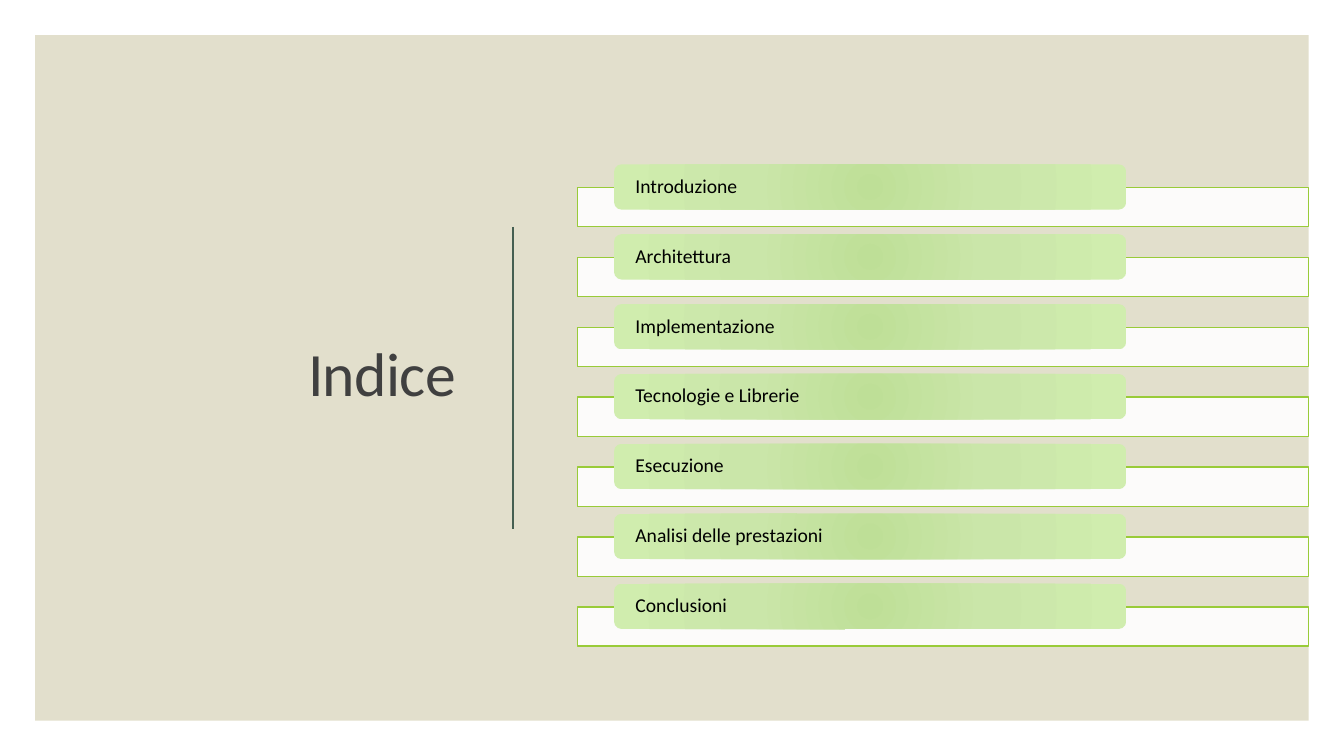
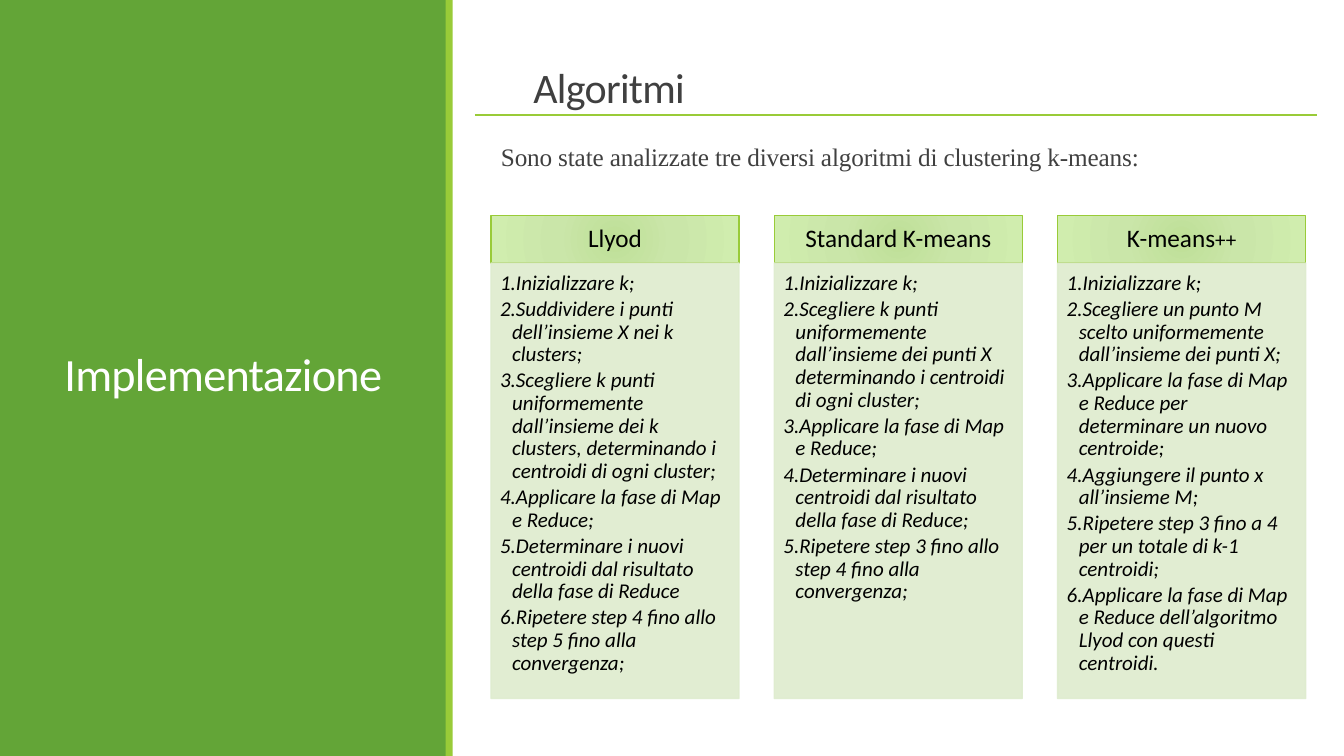
import pptx
import pptx.dml.color
import pptx.enum.shapes
import pptx.enum.text
import pptx.oxml
import pptx.oxml.ns
import pptx.util
from lxml import etree

Inches, Pt = pptx.util.Inches, pptx.util.Pt
RGB = pptx.dml.color.RGBColor
SHAPE = pptx.enum.shapes.MSO_SHAPE
ALIGN = pptx.enum.text.PP_ALIGN
ANCHOR = pptx.enum.text.MSO_ANCHOR
qn = pptx.oxml.ns.qn

# Content
INDEX_TITLE = "Indice"
INDEX = ["Introduzione", "Architettura", "Implementazione", "Tecnologie e Librerie",
         "Esecuzione", "Analisi delle prestazioni", "Conclusioni"]
SECTION = "Implementazione"
TOPIC = "Algoritmi"
INTRO = "Sono state analizzate tre diversi algoritmi di clustering k-means:"
ALGORITHMS = [
    (["Llyod"], [
        "Inizializzare k;",
        "Suddividere i punti dell’insieme X nei k clusters;",
        "Scegliere k punti uniformemente dall’insieme dei k clusters, "
        "determinando i centroidi di ogni cluster;",
        "Applicare la fase di Map e Reduce;",
        "Determinare i nuovi centroidi dal risultato della fase di Reduce",
        "Ripetere step 4 fino allo step 5 fino alla convergenza;"]),
    (["Standard K-means"], [
        "Inizializzare k;",
        "Scegliere k punti uniformemente dall’insieme dei punti X "
        "determinando i centroidi di ogni cluster;",
        "Applicare la fase di Map e Reduce;",
        "Determinare i nuovi centroidi dal risultato della fase di Reduce;",
        "Ripetere step 3 fino allo step 4 fino alla convergenza;"]),
    (["K-means", "++"], [
        "Inizializzare k;",
        "Scegliere un punto M scelto uniformemente dall’insieme dei punti X;",
        "Applicare la fase di Map e Reduce per determinare un nuovo centroide;",
        "Aggiungere il punto x all’insieme M;",
        "Ripetere step 3 fino a 4 per un totale di k-1 centroidi;",
        "Applicare la fase di Map e Reduce dell’algoritmo Llyod con questi centroidi."]),
]

# Shared style
WIDTH, HEIGHT = 13.33, 7.5
SANS, SERIF = "Calibri", "Times New Roman"
WHITE, BLACK = RGB(255, 255, 255), RGB(0, 0, 0)
GREEN, LIME = RGB(0x63, 0xA5, 0x37), RGB(0x99, 0xCB, 0x38)
SAND, PALE = RGB(0xE2, 0xDF, 0xCC), RGB(0xDE, 0xEC, 0xCE)
SLATE, GREY = RGB(0x45, 0x5F, 0x51), RGB(0x40, 0x40, 0x40)
GLOW = [(0, RGB(0xBE, 0xDF, 0x97)), (45, RGB(0xCA, 0xE6, 0xA9)), (100, RGB(0xD0, 0xED, 0xAE))]


def set_alpha(fill_parent, percent):
    color = fill_parent.find(qn("a:solidFill")).find(qn("a:srgbClr"))
    etree.SubElement(color, qn("a:alpha"), val=str(percent * 1000))


def set_glow(shape):
    """Radial gradient spreading from the centre of the shape."""
    stops = "".join(f'<a:gs pos="{place * 1000}"><a:srgbClr val="{color}"/></a:gs>'
                    for place, color in GLOW)
    glow = pptx.oxml.parse_xml(
        f'<a:gradFill {pptx.oxml.ns.nsdecls("a")} rotWithShape="1"><a:gsLst>{stops}</a:gsLst>'
        '<a:path path="circle"><a:fillToRect l="100000" t="100000" r="100000" b="100000"/>'
        '</a:path></a:gradFill>')
    properties = shape._element.spPr
    properties.replace(properties.find(qn("a:solidFill")), glow)


def add_block(page, at, fill, line=None, kind=SHAPE.RECTANGLE, alpha=None, line_alpha=None):
    shape = page.shapes.add_shape(kind, *map(Inches, at))
    shape.shadow.inherit = False
    shape.fill.solid()
    shape.fill.fore_color.rgb = GLOW[0][1] if fill is GLOW else fill
    if fill is GLOW:
        set_glow(shape)
    if alpha:
        set_alpha(shape._element.spPr, alpha)
    if line is None:
        shape.line.fill.background()
    else:
        shape.line.color.rgb = line
        shape.line.width = Pt(1)
        if line_alpha:
            set_alpha(shape.line._ln, line_alpha)
    return shape


def add_rule(page, start, end, color, width):
    rule = page.shapes.add_connector(pptx.enum.shapes.MSO_CONNECTOR.STRAIGHT,
                                     *map(Inches, start + end))
    rule.line.color.rgb = color
    rule.line.width = Pt(width)
    etree.SubElement(rule._element.spPr, qn("a:effectLst"))


def set_frame(box, insets=(0.1, 0.05, 0.1, 0.05), anchor=ANCHOR.MIDDLE):
    frame = box.text_frame
    frame.word_wrap = True
    frame.vertical_anchor = anchor
    frame.margin_left, frame.margin_top, frame.margin_right, frame.margin_bottom = map(
        Inches, insets)
    return frame


def style(para, size, color=BLACK, font=SANS, align=ALIGN.LEFT, spacing=0.9, tracking=0):
    para.alignment = align
    para.line_spacing = spacing
    para.font.size = Pt(size)
    para.font.name = font
    para.font.color.rgb = color
    if tracking:
        para._p.pPr.find(qn("a:defRPr")).set("spc", str(int(tracking * 100)))


def add_label(page, at, text, size, color, insets=(0.1, 0.05, 0.1, 0.05), **look):
    box = page.shapes.add_textbox(*map(Inches, at))
    para = set_frame(box, insets).paragraphs[0]
    para.text = text
    style(para, size, color, **look)


def fill_steps(box, steps):
    frame = set_frame(box, (0.09, 0.09, 0.12, 0.13), ANCHOR.TOP)
    for number, step in enumerate(steps):
        para = frame.add_paragraph() if number else frame.paragraphs[0]
        para.text = step
        properties = para._p.get_or_add_pPr()
        properties.set("marL", str(Inches(0.12)))
        properties.set("indent", str(-Inches(0.12)))
        etree.SubElement(properties, qn("a:buFont"), typeface="+mj-lt")
        etree.SubElement(properties, qn("a:buAutoNum"), type="arabicPeriod")
        para.space_after = Pt(2.4)
        style(para, 15)
        para.font.italic = True


def build_index(page):
    margin = 0.35
    add_block(page, (margin, margin, WIDTH - 2 * margin, HEIGHT - 2 * margin), SAND)
    add_label(page, (1.06, 1.05, 3.56, 5.4), INDEX_TITLE, 44, GREY,
              align=ALIGN.RIGHT, spacing=0.85, tracking=-0.5)
    add_rule(page, (5.09, 2.25), (5.09, 5.25), SLATE, 1.5)
    # One bar and one overlapping pill per entry
    first, last = 1.86, 6.02
    pitch = (last - first) / (len(INDEX) - 1)
    for row, entry in enumerate(INDEX):
        top = first + row * pitch
        add_block(page, (5.73, top, 7.25, 0.39), WHITE, LIME, alpha=90)
        pill = add_block(page, (6.09, top - 0.23, 5.08, 0.45), GLOW,
                         kind=SHAPE.ROUNDED_RECTANGLE)
        para = set_frame(pill, (0.19, 0, 0.19, 0)).paragraphs[0]
        para.text = entry
        style(para, 14)


def build_algorithms(page):
    # Side panel
    add_block(page, (0, 0, 4.43, HEIGHT), GREEN)
    add_label(page, (0.54, 0.66, 3.6, 6.17), SECTION, 33, WHITE, spacing=0.85, tracking=-0.5)
    add_block(page, (4.42, 0, 0.07, HEIGHT), LIME)
    # Heading and introduction
    add_label(page, (5.29, 0.68, 6.91, 0.48), TOPIC, 30, GREY, (0, 0.05, 0, 0.05),
              spacing=0.7, tracking=-0.5)
    add_rule(page, (4.71, 1.14), (13.06, 1.14), LIME, 1)
    add_label(page, (4.87, 1.35, 7.1, 0.4), INTRO, 18, GREY,
              font=SERIF, spacing=1.0, tracking=-0.1)
    # One column per algorithm
    left, top, width, gap, head = 4.87, 2.14, 2.46, 0.35, 0.47
    for column, (name, steps) in enumerate(ALGORITHMS):
        x = left + column * (width + gap)
        header = add_block(page, (x, top, width, head), GLOW, LIME)
        para = set_frame(header, (0.14, 0.08, 0.14, 0.08)).paragraphs[0]
        for part in name:
            para.add_run().text = part
        style(para, 18, align=ALIGN.CENTER)
        for suffix in para.runs[1:]:
            suffix.font.size = Pt(15)
        body = add_block(page, (x, top + head, width, 4.32), PALE, PALE,
                         alpha=90, line_alpha=90)
        fill_steps(body, steps)


def main():
    deck = pptx.Presentation()
    deck.slide_width, deck.slide_height = Inches(WIDTH), Inches(HEIGHT)
    for build in (build_index, build_algorithms):
        build(deck.slides.add_slide(deck.slide_layouts[6]))
    deck.save("out.pptx")


if __name__ == "__main__":
    main()
